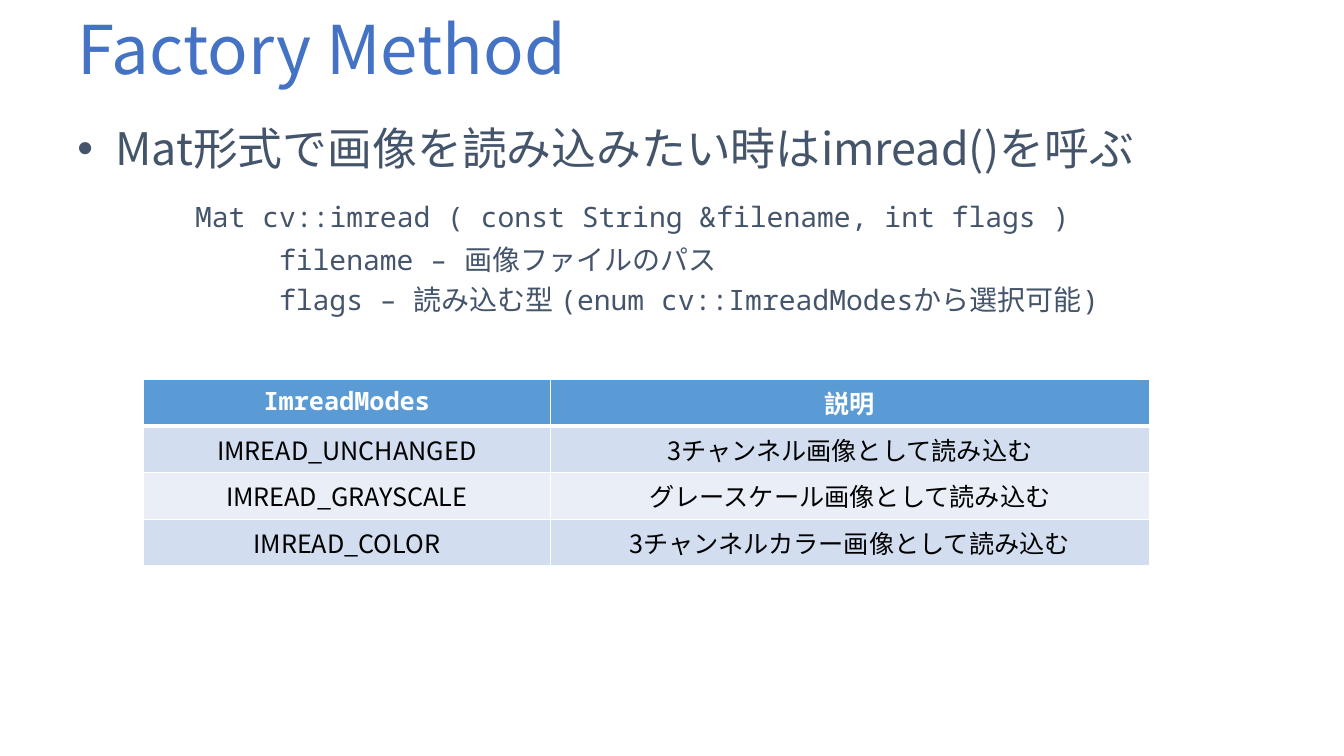
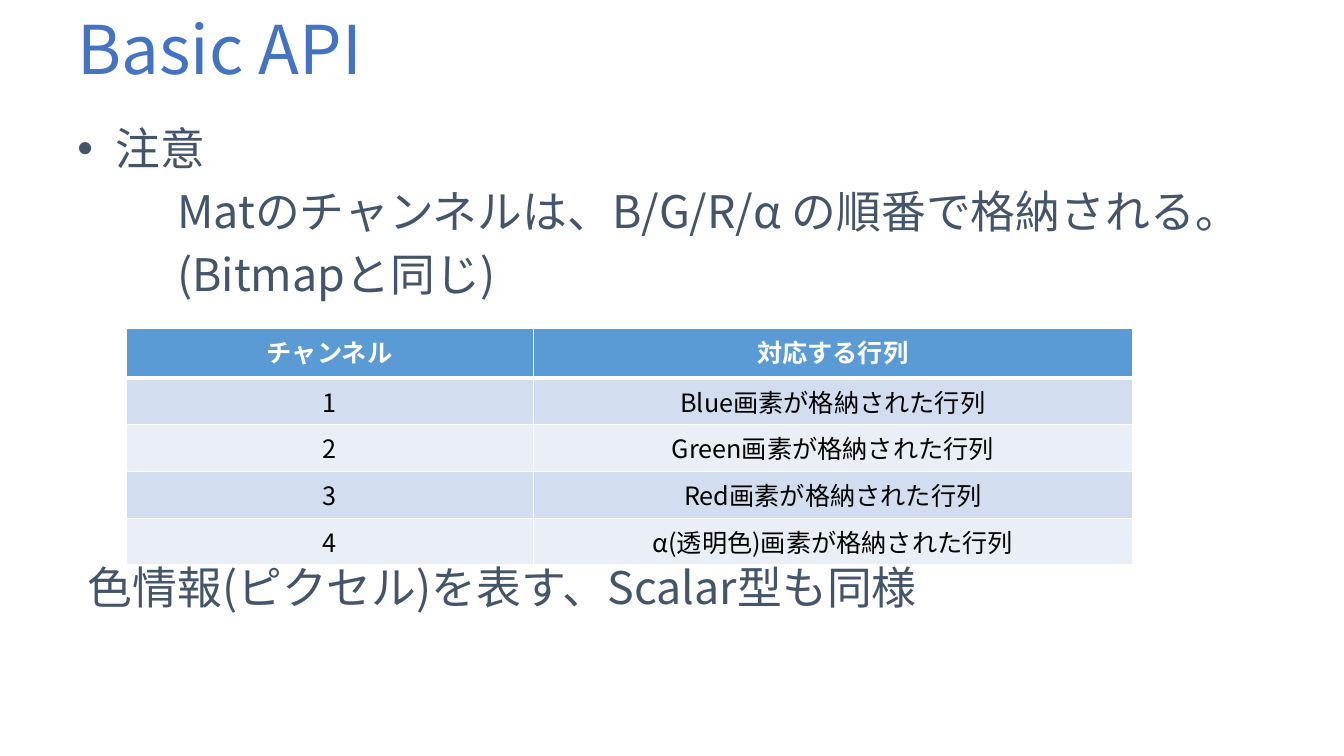
from pptx import Presentation
from pptx.dml.color import RGBColor
from pptx.enum.text import MSO_ANCHOR, PP_ALIGN
from pptx.oxml.ns import qn
from pptx.util import Pt
from lxml import etree

CENTER, MIDDLE = PP_ALIGN.CENTER, MSO_ANCHOR.MIDDLE
SANS, MONO = "Noto Sans CJK JP", "Noto Sans Mono"
BLUE, SLATE, BLACK, WHITE = "4472C4", "44546A", "000000", "FFFFFF"
HEAD, BANDS = "5B9BD5", ("D2DEEF", "EAEFF7")
LEFT, WIDE = 48.24, 864
COLS = (290.88, 428)
ROW = 33.4

SLIDES = [
    {
        "title": "Factory Method",
        "body": [
            ("Mat形式で画像を読み込みたい時はimread()を呼ぶ", 32, SANS, 27, 27, 0),
            ("Mat cv::imread ( const String &filename, int flags )", 20, MONO, 84, 0, 17.8),
            ("filename – 画像ファイルのパス", 20, MONO, 144, 0, 6.9),
            ("flags – 読み込む型 (enum cv::ImreadModesから選択可能)", 20, MONO, 144, 0, 4),
        ],
        "spot": (102.24, 270.72),
        "top row": ROW,
        "fonts": (MONO, SANS),
        "table": [
            ("ImreadModes", "説明"),
            ("IMREAD_UNCHANGED", "3チャンネル画像として読み込む"),
            ("IMREAD_GRAYSCALE", "グレースケール画像として読み込む"),
            ("IMREAD_COLOR", "3チャンネルカラー画像として読み込む"),
        ],
    },
    {
        "title": "Basic API",
        "body": [
            ("注意", 32, SANS, 27, 27, 0),
            ("Matのチャンネルは、B/G/R/α の順番で格納される。", 32, SANS, 71.2, 0, 6.4),
            ("(Bitmapと同じ)", 32, SANS, 71.2, 0, 6.4),
            ("色情報(ピクセル)を表す、Scalar型も同様", 32, SANS, 7.2, 0, 185.6),
        ],
        "spot": (90, 234.72),
        "top row": 35.28,
        "fonts": (SANS, SANS),
        "table": [
            ("チャンネル", "対応する行列"),
            ("1", "Blue画素が格納された行列"),
            ("2", "Green画素が格納された行列"),
            ("3", "Red画素が格納された行列"),
            ("4", "α(透明色)画素が格納された行列"),
        ],
    },
]


def paint(hue):
    return RGBColor.from_string(hue)


def style(para, size, face, hue, bold=False):
    for run in para.runs:
        font = run.font
        font.size, font.name, font.bold = Pt(size), face, bold
        font.color.rgb = paint(hue)
        east = etree.SubElement(font._element, qn("a:ea"))
        east.set("typeface", SANS)


def add_box(slide, top, high):
    frame = slide.shapes.add_textbox(Pt(LEFT), Pt(top), Pt(WIDE), Pt(high)).text_frame
    frame.word_wrap = True
    return frame


def add_title(slide, text):
    frame = add_box(slide, 12, 44)
    frame.vertical_anchor = MIDDLE
    frame.text = text
    style(frame.paragraphs[0], 48, SANS, BLUE)


def add_body(slide, items):
    frame = add_box(slide, 82.8, 400)
    frame.margin_right = 0
    frame.text = "\n".join(item[0] for item in items)
    for para, (_, size, face, left, hang, gap) in zip(frame.paragraphs, items):
        style(para, size, face, SLATE)
        para.space_before = Pt(gap)
        props = para._p.get_or_add_pPr()
        props.set("marL", str(Pt(left)))
        props.set("indent", str(-Pt(hang)))
        if hang:
            etree.SubElement(props, qn("a:buFont")).set("typeface", "Arial")
            etree.SubElement(props, qn("a:buChar")).set("char", "•")


def add_edges(cell, row):
    props = cell._tc.get_or_add_tcPr()
    thick = {"T": 3 if row == 1 else 1, "B": 3 if row == 0 else 1}
    for side in "LRTB":
        line = etree.SubElement(props, qn("a:ln" + side))
        line.set("w", str(Pt(thick.get(side, 1))))
        fill = etree.SubElement(line, qn("a:solidFill"))
        etree.SubElement(fill, qn("a:srgbClr")).set("val", WHITE)


def add_grid(slide, page):
    data = page["table"]
    highs = [page["top row"]] + [ROW] * (len(data) - 1)
    x, y = page["spot"]
    grid = slide.shapes.add_table(
        len(data), len(COLS), Pt(x), Pt(y), Pt(sum(COLS)), Pt(sum(highs))
    ).table
    for col, wide in zip(grid.columns, COLS):
        col.width = Pt(wide)
    for r, texts in enumerate(data):
        grid.rows[r].height = Pt(highs[r])
        for c, text in enumerate(texts):
            cell = grid.cell(r, c)
            add_edges(cell, r)
            cell.fill.solid()
            cell.fill.fore_color.rgb = paint(BANDS[(r - 1) % 2] if r else HEAD)
            cell.text_frame.text = text
            para = cell.text_frame.paragraphs[0]
            para.alignment = CENTER
            face = SANS if r else page["fonts"][c]
            style(para, 18, face, BLACK if r else WHITE, r == 0)


def main():
    """Build the slides on image reading and channel order."""
    deck = Presentation()
    deck.slide_width, deck.slide_height = Pt(960), Pt(540)
    for page in SLIDES:
        slide = deck.slides.add_slide(deck.slide_layouts[6])
        add_title(slide, page["title"])
        add_body(slide, page["body"])
        add_grid(slide, page)
    deck.save("out.pptx")


if __name__ == "__main__":
    main()
